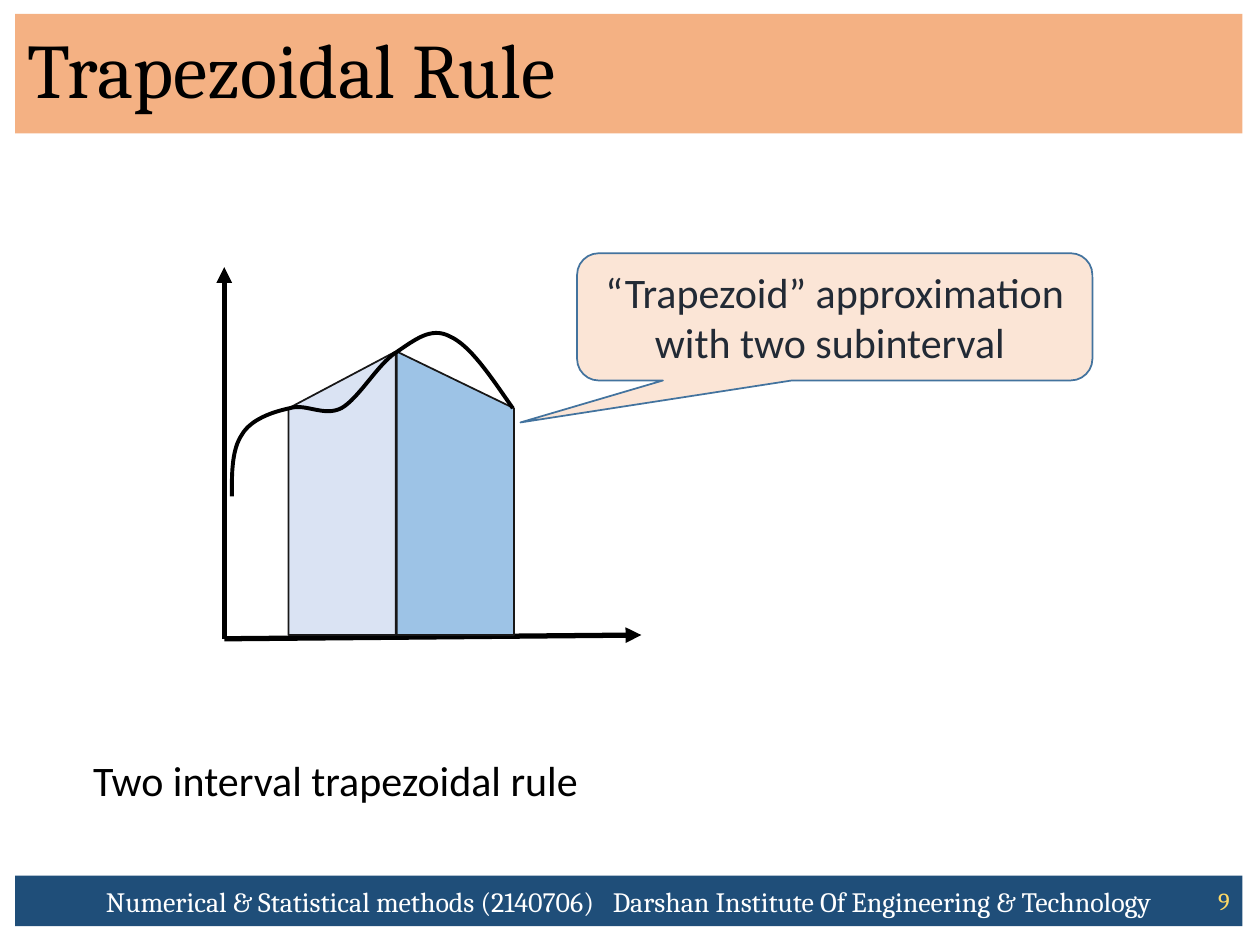
import pptx
import pptx.dml.color
import pptx.enum.shapes
import pptx.enum.text
import pptx.oxml
import pptx.oxml.ns
import pptx.util
from pptx.util import Inches

COLORS = {
    "black": "000000", "white": "FFFFFF", "title": "F4B183", "footer": "1F4E79",
    "number": "FFD966", "outline": "181717", "left": "DAE3F3", "right": "9DC3E6",
    "callout": "FBE5D6", "callout line": "43739E", "callout text": "222A35",
}
SHAPES = pptx.enum.shapes.MSO_SHAPE
ALIGN = pptx.enum.text.PP_ALIGN
ANCHOR = pptx.enum.text.MSO_ANCHOR
AUTO_SIZE = pptx.enum.text.MSO_AUTO_SIZE


def color(name):
    return pptx.dml.color.RGBColor.from_string(COLORS[name])


def bezier_points(start, segments, steps=16):
    """Sample a chain of cubic curves, each given by three control points."""
    points = [start]
    for first, second, end in segments:
        begin = points[-1]
        for step in range(1, steps + 1):
            t = step / steps
            weights = ((1 - t) ** 3, 3 * t * (1 - t) ** 2, 3 * t * t * (1 - t), t ** 3)
            points.append(tuple(
                sum(weight * value for weight, value in zip(weights, axis))
                for axis in zip(begin, first, second, end)))
    return points


class SlideBuilder:
    heading_font = "Cambria"
    body_font = "Calibri"

    def __init__(self, presentation):
        self.slide = presentation.slides.add_slide(presentation.slide_layouts[5])

    def fill_text(self, shape, texts, size, font, ink, align=ALIGN.LEFT,
                  anchor=ANCHOR.MIDDLE):
        frame = shape.text_frame
        frame.word_wrap = True
        frame.auto_size = AUTO_SIZE.NONE
        frame.vertical_anchor = anchor
        paragraph = frame.paragraphs[0]
        paragraph.alignment = align
        for text in texts:
            run = paragraph.add_run()
            run.text = text
            run.font.size = pptx.util.Pt(size)
            run.font.name = font
            run.font.color.rgb = color(ink)
        return paragraph

    def title(self, text, box):
        shape = self.slide.shapes.title
        shape.left, shape.top, shape.width, shape.height = map(Inches, box)
        shape.fill.solid()
        shape.fill.fore_color.rgb = color("title")
        paragraph = self.fill_text(shape, [text], 44, self.heading_font, "black")
        paragraph.line_spacing = 0.9

    def shape(self, kind, box, fill, line=None):
        shape = self.slide.shapes.add_shape(kind, *map(Inches, box))
        shape.shadow.inherit = False
        shape.fill.solid()
        shape.fill.fore_color.rgb = color(fill)
        if line:
            shape.line.color.rgb = color(line)
            shape.line.width = pptx.util.Pt(1)
        else:
            shape.line.fill.background()
        return shape

    def text(self, text, box, size, font, ink, **layout):
        shape = self.slide.shapes.add_textbox(*map(Inches, box))
        self.fill_text(shape, [text], size, font, ink, **layout)
        return shape

    def axis(self, start, end):
        connector = self.slide.shapes.add_connector(
            pptx.enum.shapes.MSO_CONNECTOR.STRAIGHT, *map(Inches, start + end))
        connector.line.color.rgb = color("black")
        connector.line.width = pptx.util.Pt(3)
        properties = connector._element.spPr
        namespace = pptx.oxml.ns.nsdecls("a")
        properties.find(pptx.oxml.ns.qn("a:ln")).append(
            pptx.oxml.parse_xml(f'<a:tailEnd {namespace} type="triangle"/>'))
        properties.append(pptx.oxml.parse_xml(f"<a:effectLst {namespace}/>"))

    def trapezoid(self, box, fill, flip=False):
        shape = self.shape(SHAPES.FLOWCHART_MANUAL_INPUT, box, fill, "outline")
        if flip:
            shape._element.spPr.xfrm.set("flipH", "1")

    def curve(self, start, segments):
        points = [(Inches(x), Inches(y)) for x, y in bezier_points(start, segments)]
        builder = self.slide.shapes.build_freeform(*points[0])
        builder.add_line_segments(points[1:], close=False)
        shape = builder.convert_to_shape()
        shape.shadow.inherit = False
        shape.fill.background()
        shape.line.color.rgb = color("black")
        shape.line.width = pptx.util.Pt(2.25)


def main():
    presentation = pptx.Presentation()
    presentation.slide_width, presentation.slide_height = Inches(10), Inches(7.5)
    builder = SlideBuilder(presentation)

    # Title and footer bars
    builder.title("Trapezoidal Rule", (0.12, 0.11, 9.74, 0.95))
    footer = builder.shape(SHAPES.RECTANGLE, (0.12, 6.95, 9.74, 0.4), "footer")
    paragraph = builder.fill_text(
        footer,
        ["Numerical & Statistical methods (2140706)", " ",
         "Darshan Institute Of Engineering & Technology"],
        16, builder.heading_font, "white", align=ALIGN.CENTER)
    # Widen the gap between course and institute
    paragraph.runs[1]._r.get_or_add_rPr().set("spc", "700")
    builder.text("9", (9.29, 6.95, 0.57, 0.4), 14, builder.heading_font, "number",
                 align=ALIGN.RIGHT)

    # Axes
    origin = (1.78, 5.07)
    builder.axis(origin, (1.78, 2.12))
    builder.axis(origin, (5.09, 5.04))

    # Trapezoids and callout
    builder.trapezoid((2.29, 2.79, 0.85, 2.25), "left")
    callout = builder.shape(SHAPES.ROUNDED_RECTANGULAR_CALLOUT, (4.58, 2.01, 4.09, 1.01),
                            "callout", "callout line")
    for index, value in enumerate((-0.61, 0.83, 0.17)):
        callout.adjustments[index] = value
    builder.fill_text(callout, ["“Trapezoid” approximation with two subinterval "], 24,
                      builder.body_font, "callout text", align=ALIGN.CENTER)
    builder.trapezoid((3.15, 2.79, 0.93, 2.25), "right", flip=True)

    # Function curve
    builder.curve((1.84, 3.94), [
        ((1.84, 3.75), (1.84, 3.57), (1.92, 3.45)),
        ((1.99, 3.33), (2.16, 3.27), (2.3, 3.24)),
        ((2.43, 3.2), (2.57, 3.31), (2.71, 3.24)),
        ((2.85, 3.16), (3, 2.89), (3.14, 2.8)),
        ((3.29, 2.7), (3.42, 2.59), (3.57, 2.67)),
        ((3.73, 2.74), (3.89, 2.98), (4.07, 3.24)),
    ])

    # Caption
    caption = builder.text("Two interval trapezoidal rule", (0.64, 5.94, 6.53, 0.5), 24,
                           builder.body_font, "black", anchor=ANCHOR.TOP)
    caption.text_frame.auto_size = AUTO_SIZE.SHAPE_TO_FIT_TEXT

    presentation.save("out.pptx")


if __name__ == "__main__":
    main()
